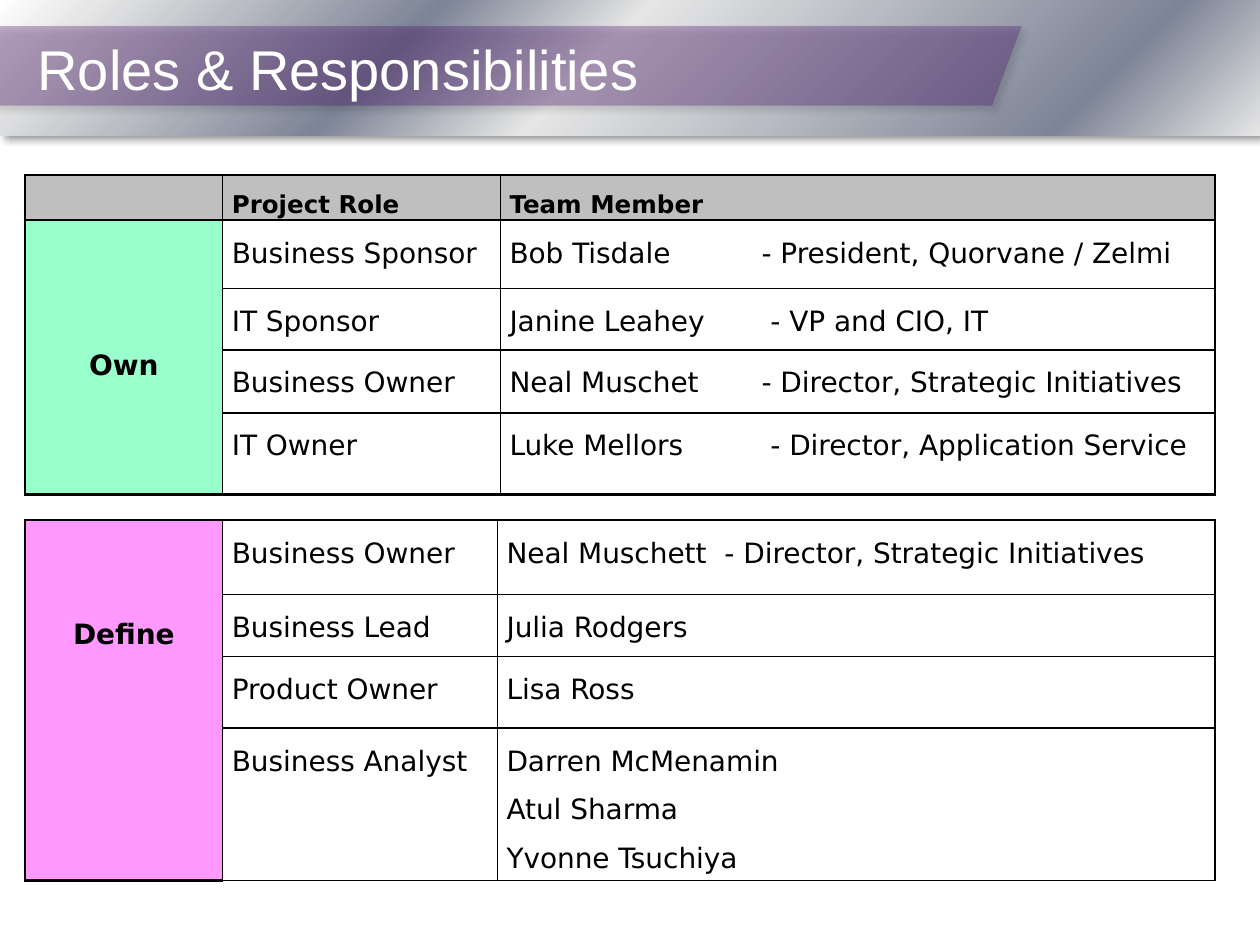
import pptx
import pptx.dml.color
import pptx.enum.shapes
import pptx.enum.text
import pptx.oxml
import pptx.oxml.ns
import pptx.util
from lxml import etree

Pt = pptx.util.Pt
RGBColor = pptx.dml.color.RGBColor
MSO_SHAPE = pptx.enum.shapes.MSO_SHAPE
ANCHOR = pptx.enum.text.MSO_ANCHOR
ALIGN = pptx.enum.text.PP_ALIGN
qn = pptx.oxml.ns.qn

BLACK = RGBColor(0x00, 0x00, 0x00)
WHITE = RGBColor(0xFF, 0xFF, 0xFF)
PURPLE = RGBColor(0x4B, 0x0B, 0x71)
GREY = RGBColor(0xBF, 0xBF, 0xBF)
MINT = RGBColor(0x99, 0xFF, 0xCC)
PINK = RGBColor(0xFF, 0x99, 0xFF)
SILVER = RGBColor(0xE6, 0xE6, 0xE6)
STEEL = RGBColor(0x7D, 0x84, 0x96)
BANNER_STOPS = [(0, WHITE), (7, SILVER), (32, STEEL),
                (47, SILVER), (85, STEEL), (100, SILVER)]
THIN, THICK = 1, 1.5

HEADER = ["", "Project Role", "Team Member"]
OWN_ROWS = [
    ("Business Sponsor", ["Bob Tisdale\t- President, Quorvane / Zelmi"]),
    ("IT Sponsor", ["Janine Leahey\t - VP and CIO, IT"]),
    ("Business Owner", ["Neal Muschet\t- Director, Strategic Initiatives"]),
    ("IT Owner", ["Luke Mellors\t - Director, Application Service"]),
]
DEFINE_ROWS = [
    ("Business Owner", ["Neal Muschett\t- Director, Strategic Initiatives"]),
    ("Business Lead", ["Julia Rodgers"]),
    ("Product Owner", ["Lisa Ross"]),
    ("Business Analyst", ["Darren McMenamin", "Atul Sharma", "Yvonne Tsuchiya"]),
]


def parse(xml):
    ns = pptx.oxml.ns.nsdecls("a")
    return pptx.oxml.parse_xml(xml.replace(">", f" {ns}>", 1))


def add_shadow(sp):
    sp._element.spPr.append(parse(
        f'<a:effectLst><a:outerShdw blurRad="{Pt(4)}" dist="{Pt(3)}" dir="2700000" '
        'algn="tl" rotWithShape="0"><a:srgbClr val="000000"><a:alpha val="40000"/>'
        '</a:srgbClr></a:outerShdw></a:effectLst>'))


def add_run(p, text, size, font, color, bold=False):
    r = p.add_run()
    r.text = text
    r.font.size, r.font.name, r.font.bold = Pt(size), font, bold
    r.font.color.rgb = color


def add_banner(s, left, top, width, height):
    sp = s.shapes.add_shape(MSO_SHAPE.RECTANGLE, Pt(left), Pt(top), Pt(width), Pt(height))
    sp.line.fill.background()
    stops = "".join(f'<a:gs pos="{pos * 1000}"><a:srgbClr val="{color}"/></a:gs>'
                    for pos, color in BANNER_STOPS)
    sp._element.spPr.find(qn("a:prstGeom")).addnext(parse(
        f'<a:gradFill rotWithShape="1"><a:gsLst>{stops}</a:gsLst>'
        '<a:lin ang="2700000" scaled="0"/></a:gradFill>'))
    add_shadow(sp)

    ribbon = s.shapes.add_shape(MSO_SHAPE.PARALLELOGRAM, Pt(left - 20.2), Pt(top + 15),
                                Pt(604), Pt(45.4))
    ribbon.adjustments[0] = 0.37
    ribbon.fill.solid()
    ribbon.fill.fore_color.rgb = PURPLE
    color = ribbon._element.spPr.find(qn("a:solidFill"))[0]
    etree.SubElement(color, qn("a:alpha")).set("val", "30000")
    ribbon.line.fill.background()
    add_shadow(ribbon)

    title = s.shapes.add_textbox(Pt(left + 14.4), Pt(top + 19.4), Pt(648), Pt(39))
    tf = title.text_frame
    tf.word_wrap = True
    tf.vertical_anchor = ANCHOR.MIDDLE
    add_run(tf.paragraphs[0], "Roles & Responsibilities", 32, "Arial", WHITE)


def set_borders(cell, widths):
    """Draw black borders; widths maps L, R, T and B to points."""
    tcPr = cell._tc.get_or_add_tcPr()
    for side, width in widths.items():
        tcPr.append(parse(
            f'<a:ln{side} w="{Pt(width)}"><a:solidFill><a:srgbClr val="{BLACK}"/>'
            f'</a:solidFill></a:ln{side}>'))


def set_cell(cell, lines, size, bold=False, fill=None, align=ALIGN.LEFT, tab=None):
    cell.margin_left = cell.margin_right = Pt(5.2)
    cell.margin_top, cell.margin_bottom = Pt(0.7), Pt(0)
    if fill is None:
        cell.fill.background()
    else:
        cell.fill.solid()
        cell.fill.fore_color.rgb = fill
    tf = cell.text_frame
    for i, line in enumerate(lines):
        p = tf.paragraphs[0] if i == 0 else tf.add_paragraph()
        p.alignment, p.line_spacing = align, 1.5
        if "\t" in line:
            p._p.get_or_add_pPr().append(parse(
                f'<a:tabLst><a:tab pos="{Pt(tab)}" algn="l"/></a:tabLst>'))
        if line:
            add_run(p, line, size, "DejaVu Sans", BLACK, bold)


def add_role_table(s, left, top, col_widths, row_heights, phase, color, roles,
                   tab, header=None, end_width=THICK):
    """Phase name in a merged first column, then role and members; returns the phase cell."""
    n_rows, n_cols = len(row_heights), len(col_widths)
    tbl = s.shapes.add_table(n_rows, n_cols, Pt(left), Pt(top), Pt(sum(col_widths)),
                             Pt(sum(row_heights))).table
    tbl.first_row = tbl.horz_banding = False
    for col, width in zip(tbl.columns, col_widths):
        col.width = Pt(width)
    for row, height in zip(tbl.rows, row_heights):
        row.height = Pt(height)

    first, last = (1 if header else 0), n_rows - 1
    phase_cell = tbl.cell(first, 0)
    phase_cell.merge(tbl.cell(last, 0))
    for i in range(n_rows):
        for j in range(n_cols):
            bottom = THICK if j == 0 else end_width
            set_borders(tbl.cell(i, j), {
                "L": THICK if j == 0 else THIN,
                "R": THICK if j == n_cols - 1 else THIN,
                "T": THICK if i in (0, first) else THIN,
                "B": bottom if i == last or (j == 0 and i == first)
                else THICK if i < first else THIN,
            })

    for j, text in enumerate(header or []):
        set_cell(tbl.cell(0, j), [text], 14, bold=True, fill=GREY)
    set_cell(phase_cell, [phase], 16, bold=True, fill=color, align=ALIGN.CENTER)
    for i, (role, members) in enumerate(roles, first):
        set_cell(tbl.cell(i, 1), [role], 16)
        set_cell(tbl.cell(i, 2), members, 16, tab=tab)
    return phase_cell


def main():
    prs = pptx.Presentation()
    prs.slide_width, prs.slide_height = Pt(720), Pt(540)
    s = prs.slides.add_slide(prs.slide_layouts[6])
    add_banner(s, 0, 0, 720, 77.3)
    own = add_role_table(s, 14.3, 100, [113, 158.7, 408.3], [25, 39, 35, 36, 46.7],
                         "Own", MINT, OWN_ROWS, tab=144, header=HEADER)
    own.vertical_anchor = ANCHOR.MIDDLE
    define = add_role_table(s, 14.3, 297.3, [113, 157, 410], [42.5, 35.3, 41, 84],
                            "Define", PINK, DEFINE_ROWS, tab=124.5, end_width=THIN)
    define.margin_top = Pt(47)
    prs.save("out.pptx")


if __name__ == "__main__":
    main()
